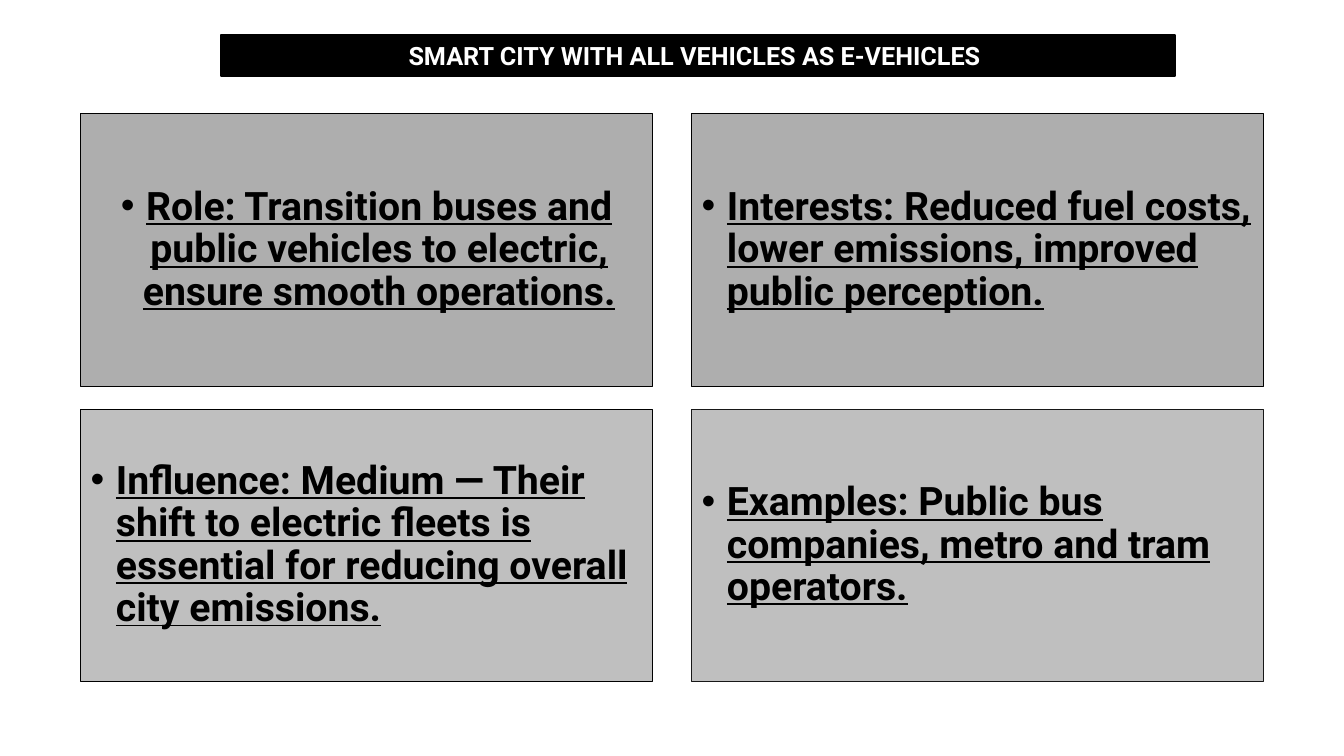
from lxml.etree import SubElement
from pptx import Presentation
from pptx.dml.color import RGBColor
from pptx.enum.text import MSO_ANCHOR as Anchor, MSO_AUTO_SIZE as AutoSize, PP_ALIGN as Align
from pptx.oxml.ns import qn
from pptx.util import Inches, Pt

BLACK = RGBColor(0x00, 0x00, 0x00)
WHITE = RGBColor(0xFF, 0xFF, 0xFF)
NEAR_BLACK = RGBColor(0x17, 0x17, 0x17)
MID_GRAY = RGBColor(0xAE, 0xAE, 0xAE)
LIGHT_GRAY = RGBColor(0xBF, 0xBF, 0xBF)
FONT = "Roboto"

# Text, fill, outline and alignment of each card, row by row
CARDS = [
    ("Role: Transition buses and public vehicles to electric, ensure smooth operations.",
     MID_GRAY, BLACK, Align.CENTER),
    ("Interests: Reduced fuel costs, lower emissions, improved public perception.",
     MID_GRAY, BLACK, Align.LEFT),
    ("Influence: Medium — Their shift to electric fleets is essential for reducing "
     "overall city emissions.", LIGHT_GRAY, BLACK, Align.LEFT),
    ("Examples: Public bus companies, metro and tram operators.",
     LIGHT_GRAY, NEAR_BLACK, Align.LEFT),
]


def write_text(shape, text, size, color, align, underline=False):
    frame = shape.text_frame
    frame.text = text
    frame.word_wrap = True
    frame.auto_size = AutoSize.NONE
    frame.vertical_anchor = Anchor.MIDDLE
    paragraph = frame.paragraphs[0]
    paragraph.alignment = align
    font = paragraph.runs[0].font
    font.name = FONT
    font.size = Pt(size)
    font.bold = True
    font.underline = underline
    font.color.rgb = color
    return paragraph


def style_box(shape, left, top, width, height, fill, outline, weight):
    shape.left, shape.top = Inches(left), Inches(top)
    shape.width, shape.height = Inches(width), Inches(height)
    shape.fill.solid()
    shape.fill.fore_color.rgb = fill
    shape.line.color.rgb = outline
    shape.line.width = Pt(weight)


def add_bullet(paragraph):
    properties = paragraph._p.get_or_add_pPr()
    properties.set("marL", str(Inches(0.25)))
    properties.set("indent", str(Inches(-0.25)))
    SubElement(properties, qn("a:buFont"), typeface="Arial")
    SubElement(properties, qn("a:buChar"), char="•")


def build_banner(title, left, top, width, height):
    style_box(title, left, top, width, height, BLACK, BLACK, 1.5)
    write_text(title, "SMART CITY WITH ALL VEHICLES AS E-VEHICLES ", 18, WHITE, Align.CENTER)


def build_cards(bodies, left, top, width, height, gap_x=0.39, gap_y=0.23):
    card_width = (width - gap_x) / 2
    card_height = (height - gap_y) / 2
    for index, (body, (text, fill, outline, align)) in enumerate(zip(bodies, CARDS)):
        row, column = divmod(index, 2)
        style_box(body, left + column * (card_width + gap_x),
                  top + row * (card_height + gap_y),
                  card_width, card_height, fill, outline, 0.75)
        paragraph = write_text(body, text, 28, BLACK, align, underline=True)
        paragraph.line_spacing = 0.9
        paragraph.space_before = Pt(10)
        add_bullet(paragraph)


def main():
    presentation = Presentation()
    presentation.slide_width = Inches(13.33)
    presentation.slide_height = Inches(7.5)

    # The comparison layout offers a title and four body placeholders
    layout = presentation.slide_layouts.get_by_name("Comparison")
    slide = presentation.slides.add_slide(layout)
    title, *bodies = slide.placeholders

    # Title banner
    build_banner(title, 2.19, 0.35, 9.46, 0.4)

    # Two-by-two grid of cards
    build_cards(bodies, 0.8, 1.13, 11.73, 5.63)

    presentation.save("out.pptx")


if __name__ == "__main__":
    main()
